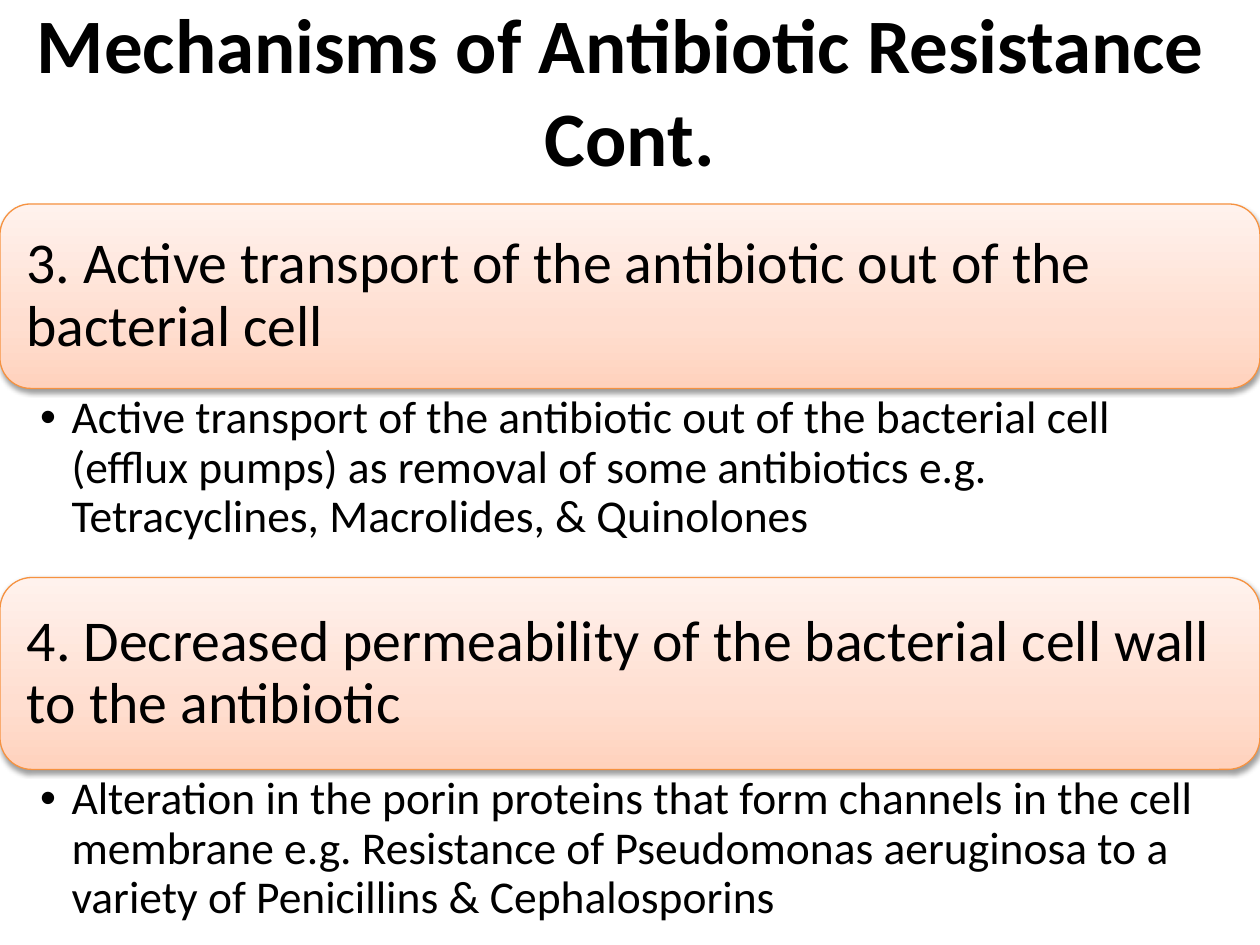
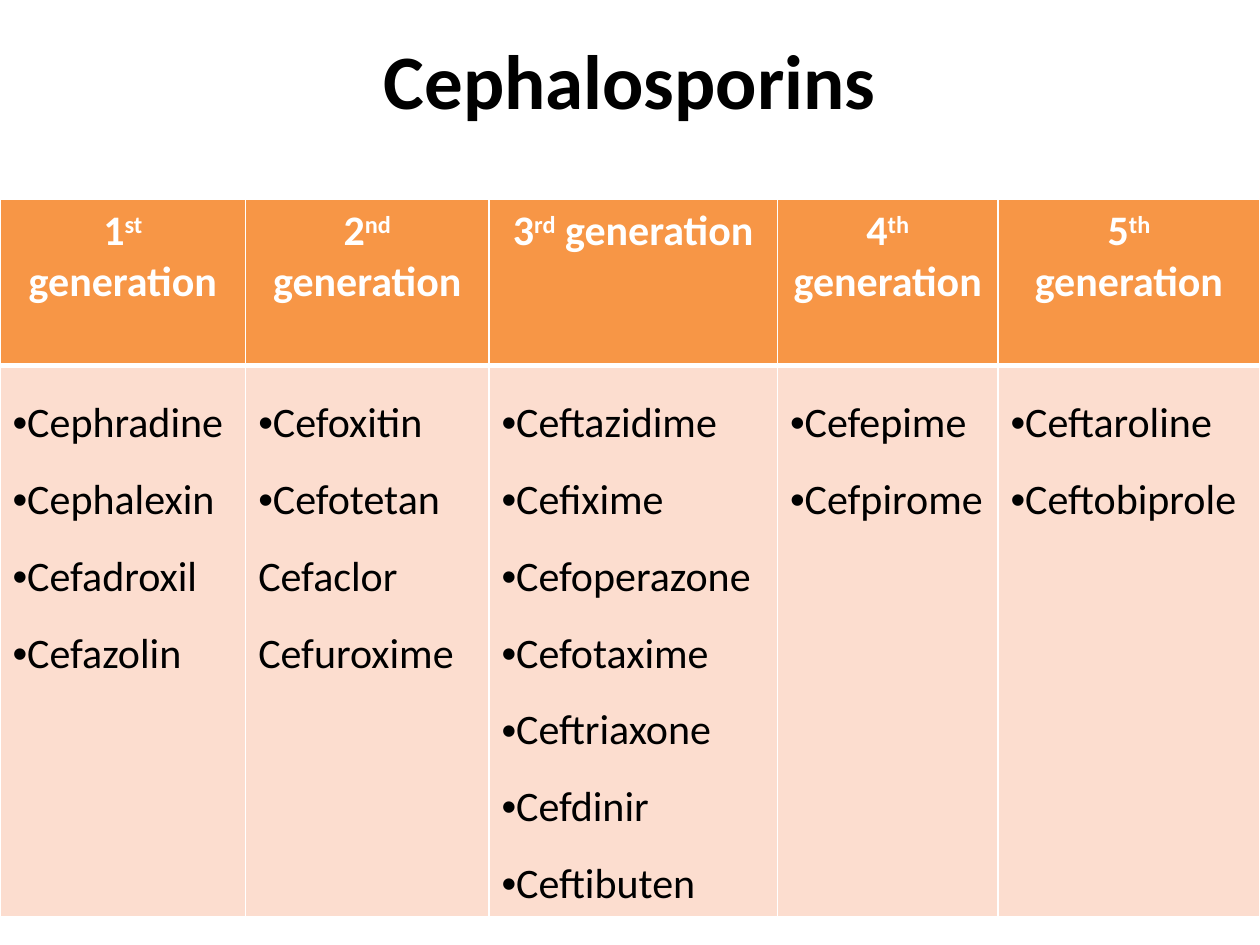
from itertools import product

from lxml.etree import SubElement
from pptx import Presentation
from pptx.dml.color import RGBColor
from pptx.enum.shapes import MSO_SHAPE
from pptx.enum.text import MSO_ANCHOR, MSO_AUTO_SIZE, PP_ALIGN
from pptx.oxml import parse_xml
from pptx.oxml.ns import nsdecls, qn
from pptx.util import Pt

FONT = "Calibri"
BLACK, WHITE = "000000", "FFFFFF"
ORANGE, PALE_ORANGE, OUTLINE = "F79646", "FCDDCF", "F69240"
BANNER_GRADIENT = [(0, "FFD2BD"), (0.35, "FFDED0"), (1, "FFF2ED")]
SLIDE_WIDTH, SLIDE_HEIGHT = 720, 540

TITLE_STYLE = {"size": 44, "bold": True}
BANNER_STYLE = {"size": 33}
DETAIL_STYLE = {"size": 26}
HEADER_STYLE = {"size": 24, "bold": True, "color": WHITE}
DRUG_STYLE = {"size": 24, "bold": False}

# top, banner height, detail height, heading, detail
MECHANISMS = [
    (116.6, 105.4, 108,
     "3. Active transport of the antibiotic out of the bacterial cell",
     "Active transport of the antibiotic out of the bacterial cell (efflux pumps) "
     "as removal of some antibiotics e.g. Tetracyclines, Macrolides, & Quinolones"),
    (330, 109.7, 98,
     "4. Decreased permeability of the bacterial cell wall to the antibiotic",
     "Alteration in the porin proteins that form channels in the cell membrane "
     "e.g. Resistance of Pseudomonas aeruginosa to a variety of Penicillins "
     "& Cephalosporins"),
]

# number, ordinal ending, column width, drugs
GENERATIONS = [
    ("1", "st", 140.4, ["Cephradine", "Cephalexin", "Cefadroxil", "Cefazolin"]),
    ("2", "nd", 139, ["Cefoxitin", "Cefotetan Cefaclor Cefuroxime"]),
    ("3", "rd", 164.9, ["Ceftazidime", "Cefixime", "Cefoperazone", "Cefotaxime",
                        "Ceftriaxone", "Cefdinir", "Ceftibuten"]),
    ("4", "th", 126, ["Cefepime", "Cefpirome"]),
    ("5", "th", 149.7, ["Ceftaroline", "Ceftobiprole"]),
]


def rgb(value):
    return RGBColor.from_string(value)


def style_font(font, size, bold=False, color=BLACK):
    for name, value in {"name": FONT, "size": Pt(size), "bold": bold}.items():
        setattr(font, name, value)
    font.color.rgb = rgb(color)


def add_run(paragraph, text, style):
    run = paragraph.add_run()
    run.text = text
    style_font(run.font, **style)
    return run


def set_frame(frame, anchor, left, top, right, bottom):
    settings = {
        "word_wrap": True, "auto_size": MSO_AUTO_SIZE.NONE, "vertical_anchor": anchor,
        "margin_left": Pt(left), "margin_top": Pt(top),
        "margin_right": Pt(right), "margin_bottom": Pt(bottom),
    }
    for name, value in settings.items():
        setattr(frame, name, value)


def set_bullet(paragraph, margin, indent):
    properties = paragraph._p.get_or_add_pPr()
    properties.set("marL", str(Pt(margin)))
    properties.set("indent", str(Pt(indent)))
    SubElement(properties, qn("a:buFont")).set("typeface", "Arial")
    SubElement(properties, qn("a:buChar")).set("char", "•")


def add_titled_slide(deck, text, left, width, height):
    slide = deck.slides.add_slide(deck.slide_layouts[5])
    title = slide.shapes.title
    box = {"left": left, "top": 0, "width": width, "height": height}
    for name, value in box.items():
        setattr(title, name, Pt(value))
    set_frame(title.text_frame, MSO_ANCHOR.MIDDLE, 7.2, 3.6, 7.2, 3.6)
    title.text_frame.text = text
    paragraph = title.text_frame.paragraphs[0]
    paragraph.alignment = PP_ALIGN.CENTER
    for run in paragraph.runs:
        style_font(run.font, **TITLE_STYLE)
    return slide


def fill_with_gradient(fill):
    fill.gradient()
    fill.gradient_angle = 90
    stops = fill._fill._gradFill.gsLst
    for stop in list(stops):
        stops.remove(stop)
    for position, color in BANNER_GRADIENT:
        stop = SubElement(stops, qn("a:gs"), pos=str(round(position * 100000)))
        SubElement(stop, qn("a:srgbClr"), val=color)


def add_soft_shadow(shape):
    shape.shadow.inherit = False
    effects = shape._element.spPr.find(qn("a:effectLst"))
    effects.append(parse_xml(
        f'<a:outerShdw {nsdecls("a")} blurRad="{Pt(3.1)}" dist="{Pt(1.6)}" '
        f'dir="5400000" rotWithShape="0"><a:srgbClr val="{BLACK}">'
        '<a:alpha val="38000"/></a:srgbClr></a:outerShdw>'))


def add_banner(slide, left, top, width, height, heading):
    banner = slide.shapes.add_shape(
        MSO_SHAPE.ROUNDED_RECTANGLE, Pt(left), Pt(top), Pt(width), Pt(height))
    fill_with_gradient(banner.fill)
    banner.line.color.rgb = rgb(OUTLINE)
    banner.line.width = Pt(0.75)
    add_soft_shadow(banner)
    set_frame(banner.text_frame, MSO_ANCHOR.MIDDLE, 10, 10, 10, 10)
    paragraph = banner.text_frame.paragraphs[0]
    paragraph.alignment = PP_ALIGN.LEFT
    paragraph.line_spacing = 0.9
    add_run(paragraph, heading, BANNER_STYLE)


def add_detail(slide, left, top, width, height, detail):
    box = slide.shapes.add_textbox(Pt(left), Pt(top), Pt(width), Pt(height))
    set_frame(box.text_frame, MSO_ANCHOR.TOP, 22.9, 3.6, 18.7, 3.6)
    paragraph = box.text_frame.paragraphs[0]
    set_bullet(paragraph, 18, -18)
    paragraph.line_spacing = 0.9
    add_run(paragraph, detail, DETAIL_STYLE)


def set_borders(cell, bottom_width):
    properties = cell._tc.get_or_add_tcPr()
    widths = {"lnL": 1, "lnR": 1, "lnT": 1, "lnB": bottom_width}
    for index, (side, width) in enumerate(widths.items()):
        properties.insert(index, parse_xml(
            f'<a:{side} {nsdecls("a")} w="{Pt(width)}"><a:solidFill>'
            f'<a:srgbClr val="{WHITE}"/></a:solidFill></a:{side}>'))


def write_generation(cell, number, ending):
    paragraph = cell.text_frame.paragraphs[0]
    paragraph.alignment = PP_ALIGN.CENTER
    add_run(paragraph, number, HEADER_STYLE)
    ordinal = add_run(paragraph, ending, HEADER_STYLE)
    ordinal._r.get_or_add_rPr().set("baseline", "30000")
    add_run(paragraph, " generation", HEADER_STYLE)


def write_drugs(cell, drugs):
    frame = cell.text_frame
    for index, drug in enumerate(drugs):
        paragraph = frame.add_paragraph() if index else frame.paragraphs[0]
        set_bullet(paragraph, 0, -6)
        paragraph.line_spacing = 1.5
        add_run(paragraph, drug, DRUG_STYLE)


def add_generation_table(slide, left, top, width, header_height, body_height):
    table = slide.shapes.add_table(
        2, len(GENERATIONS), Pt(left), Pt(top), Pt(width),
        Pt(header_height + body_height)).table
    table.rows[0].height, table.rows[1].height = Pt(header_height), Pt(body_height)
    for column, (number, ending, column_width, drugs) in enumerate(GENERATIONS):
        table.columns[column].width = Pt(column_width)
        write_generation(table.cell(0, column), number, ending)
        write_drugs(table.cell(1, column), drugs)
    for row, column in product(range(2), range(len(GENERATIONS))):
        cell = table.cell(row, column)
        cell.fill.solid()
        cell.fill.fore_color.rgb = rgb(PALE_ORANGE if row else ORANGE)
        set_borders(cell, 1 if row else 3)
    for column in range(len(GENERATIONS)):
        top_border = table.cell(1, column)._tc.tcPr.find(qn("a:lnT"))
        top_border.set("w", str(Pt(3)))


def build_mechanisms_slide(deck):
    slide = add_titled_slide(
        deck, "Mechanisms of Antibiotic Resistance \vCont.", 0, SLIDE_WIDTH, 102)
    for top, banner_height, detail_height, heading, detail in MECHANISMS:
        add_banner(slide, 0, top, SLIDE_WIDTH, banner_height, heading)
        add_detail(slide, 0, top + banner_height, SLIDE_WIDTH, detail_height, detail)


def build_cephalosporins_slide(deck):
    slide = add_titled_slide(deck, "Cephalosporins", 36, 648, 90)
    add_generation_table(slide, 0, 114, SLIDE_WIDTH, 95, 314)


def main():
    deck = Presentation()
    deck.slide_width, deck.slide_height = Pt(SLIDE_WIDTH), Pt(SLIDE_HEIGHT)
    build_mechanisms_slide(deck)
    build_cephalosporins_slide(deck)
    deck.save("out.pptx")


if __name__ == "__main__":
    main()
